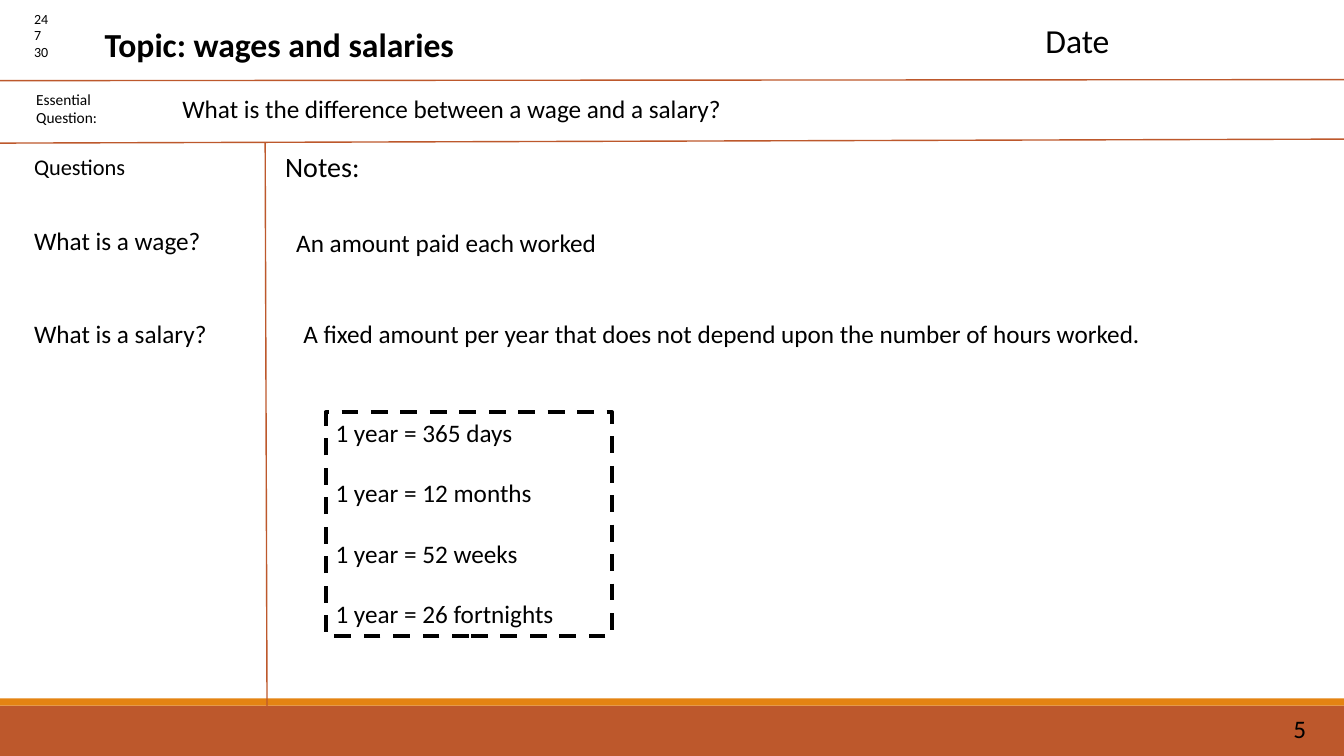
"""Build a Cornell notes slide about wages and salaries."""
import pptx
import pptx.util
import pptx.dml.color
import pptx.enum.dml
import pptx.enum.shapes
import pptx.enum.text
import pptx.oxml.ns
from lxml import etree
from pptx.util import Inches

RUST = pptx.dml.color.RGBColor(0xBD, 0x58, 0x2C)
ORANGE = pptx.dml.color.RGBColor(0xE4, 0x83, 0x12)
BLACK = pptx.dml.color.RGBColor(0, 0, 0)


class NotesSlide:
    """Hold the style and the slide being drawn."""

    font = "Calibri"

    def __init__(self, slide):
        """Keep the slide to draw on."""
        self.shapes = slide.shapes

    def box(self, left, top, width, height):
        """Add a plain rectangle without shadow."""
        box = self.shapes.add_shape(
            pptx.enum.shapes.MSO_SHAPE.RECTANGLE,
            Inches(left), Inches(top), Inches(width), Inches(height))
        box.shadow.inherit = False
        return box

    def band(self, top, height, color):
        """Add a filled band across the slide."""
        band = self.box(0, top, 13.33, height)
        band.fill.solid()
        band.fill.fore_color.rgb = color
        band.line.fill.background()

    def rule(self, x1, y1, x2, y2):
        """Add a thin dividing line."""
        rule = self.shapes.add_connector(
            pptx.enum.shapes.MSO_CONNECTOR.STRAIGHT,
            Inches(x1), Inches(y1), Inches(x2), Inches(y2))
        rule.line.color.rgb = RUST
        rule.line.width = pptx.util.Pt(1)
        etree.SubElement(rule._element.spPr, pptx.oxml.ns.qn("a:effectLst"))

    def set_text(self, frame, text, size, bold=False, gap=0):
        """Fill a text frame, with a gap between paragraphs."""
        frame.text = text
        frame.word_wrap = True
        frame.vertical_anchor = pptx.enum.text.MSO_ANCHOR.TOP
        for index, paragraph in enumerate(frame.paragraphs):
            paragraph.alignment = pptx.enum.text.PP_ALIGN.LEFT
            if index and gap:
                paragraph.space_before = pptx.util.Pt(gap)
            for run in paragraph.runs:
                run.font.name = self.font
                run.font.size = pptx.util.Pt(size)
                run.font.bold = bold
                run.font.color.rgb = BLACK

    def label(self, left, top, width, height, text, size=18, bold=False):
        """Add a text box."""
        label = self.shapes.add_textbox(
            Inches(left), Inches(top), Inches(width), Inches(height))
        self.set_text(label.text_frame, text, size, bold)

    def dashed_box(self, left, top, width, height, facts):
        """Add a dashed frame holding spaced facts."""
        frame = self.box(left, top, width, height)
        frame.fill.background()
        frame.line.color.rgb = BLACK
        frame.line.width = pptx.util.Pt(3)
        frame.line.dash_style = pptx.enum.dml.MSO_LINE.DASH
        self.set_text(frame.text_frame, "\n".join(facts), 18, gap=21.6)


def main():
    """Build and save the slide."""
    deck = pptx.Presentation()
    deck.slide_width, deck.slide_height = Inches(13.33), Inches(7.5)
    notes = NotesSlide(deck.slides.add_slide(deck.slide_layouts[6]))

    notes.band(7, 0.5, RUST)
    notes.band(6.93, 0.07, ORANGE)
    notes.label(12.73, 7.03, 0.6, 0.4, "5")

    notes.rule(0, 0.8, 13.33, 0.79)
    notes.rule(0, 1.42, 13.33, 1.38)
    notes.rule(2.63, 1.42, 2.65, 7.5)

    notes.label(0.24, 0.05, 0.47, 0.61, "24\n7\n30", 10)
    notes.label(0.94, 0.19, 3.7, 0.5, "Topic: wages and salaries", 24, True)
    notes.label(10.27, 0.15, 1.73, 0.5, "Date", 24)
    notes.label(0.26, 0.84, 0.95, 0.47, "Essential Question:", 11)
    notes.label(1.71, 0.88, 9.92, 0.4,
                "What is the difference between a wage and a salary?")
    notes.label(0.24, 1.47, 1.12, 0.37, "Questions", 16)
    notes.label(2.73, 1.43, 2.82, 0.77, "Notes:", 20)

    notes.label(0.24, 2.19, 1.94, 0.4, "What is a wage?")
    notes.label(2.84, 2.21, 9.57, 0.4, "An amount paid each worked")
    notes.label(0.24, 3.11, 1.94, 0.4, "What is a salary?")
    notes.label(2.91, 3.11, 9.57, 0.4,
                "A fixed amount per year that does not depend upon "
                "the number of hours worked.")

    periods = ("365 days", "12 months", "52 weeks", "26 fortnights")
    notes.dashed_box(3.23, 4.09, 2.84, 2.22,
                     [f"1 year = {period}" for period in periods])
    deck.save("out.pptx")


if __name__ == "__main__":
    main()
